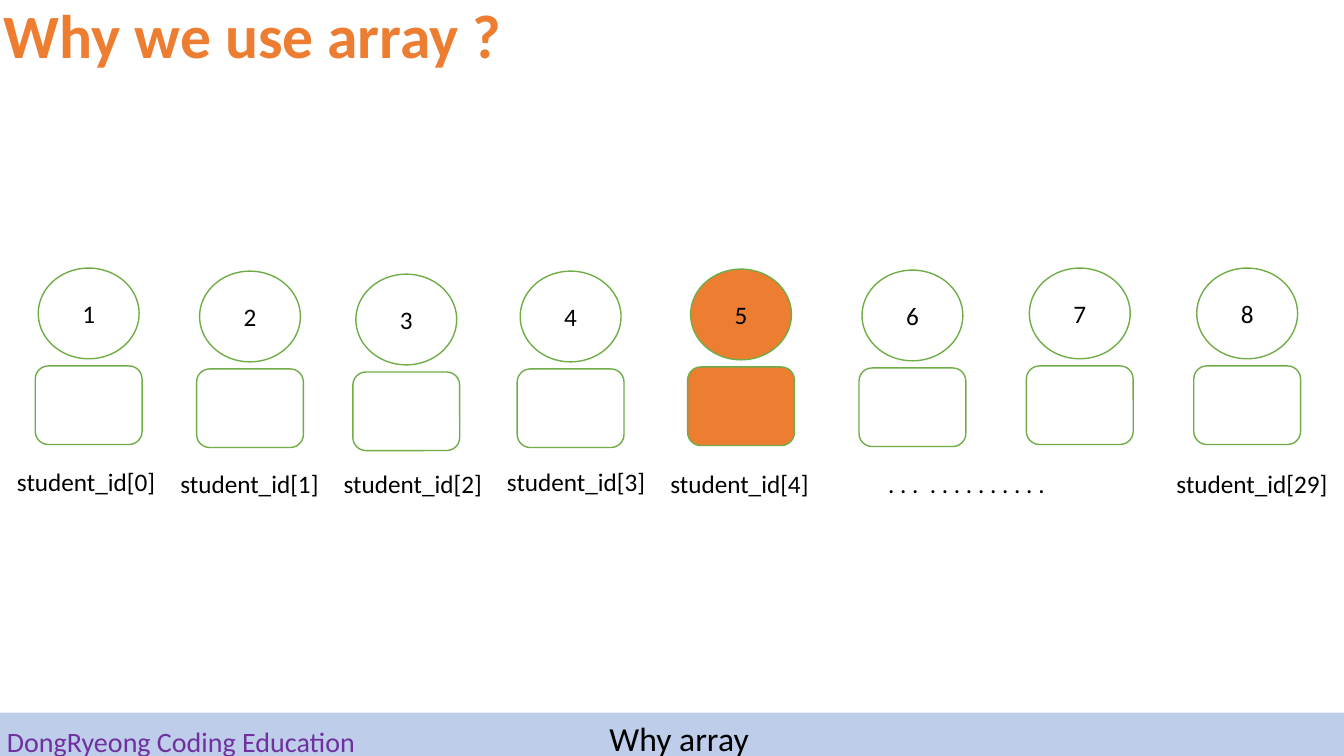
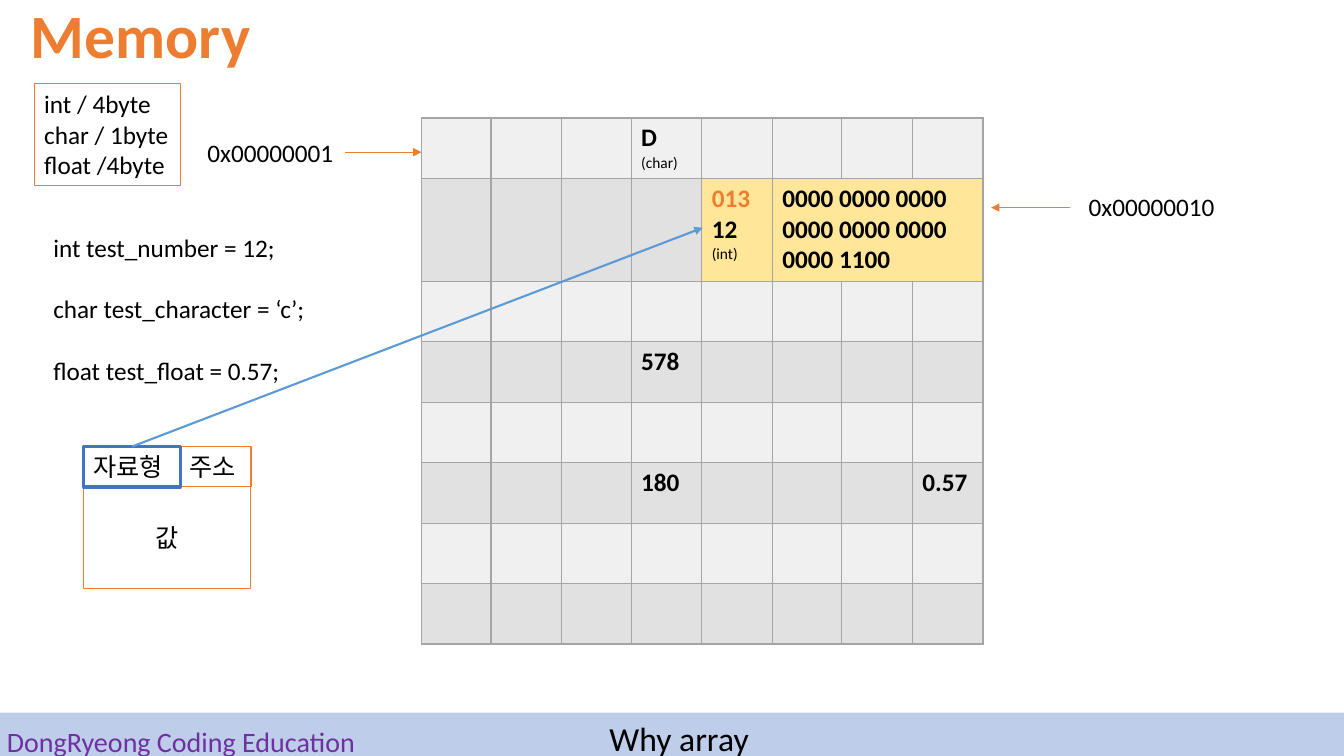
import dataclasses

import lxml.etree
import pptx
import pptx.dml.color
import pptx.enum.dml
import pptx.enum.shapes
import pptx.enum.text
import pptx.oxml.ns
import pptx.util

SHAPE = pptx.enum.shapes.MSO_SHAPE
ALIGN = pptx.enum.text.PP_ALIGN
ANCHOR = pptx.enum.text.MSO_ANCHOR
qn = pptx.oxml.ns.qn


@dataclasses.dataclass(frozen=True)
class Theme:
    """Colours and type sizes of the deck."""
    font: str = "Calibri"
    orange: str = "ED7D31"
    green: str = "70AD47"
    blue: str = "4472C4"
    sky: str = "5B9BD5"
    purple: str = "7030A0"
    black: str = "000000"
    white: str = "FFFFFF"
    grid: str = "A5A5A5"
    bands: tuple = ("F0F0F0", "E1E1E1")
    yellow: str = "FFE699"
    title: int = 44
    topic: int = 24
    footer: int = 20
    body: int = 18
    note: int = 11


T = Theme()


def px(n):
    """Turn px into EMU, at 100 px to the inch."""
    return pptx.util.Emu(n * 9144)


def rgb(color):
    """Turn a hex colour into an RGBColor."""
    return pptx.dml.color.RGBColor.from_string(color)


def put(obj, values):
    """Set each value as an attribute of the object."""
    for name, value in values.items():
        setattr(obj, name, value)


class Deck:
    """Holds the style and the current slide, and draws each kind of element."""

    HEADING = {"line_spacing": 0.9, "space_before": pptx.util.Pt(10), "alignment": ALIGN.CENTER}

    def __init__(self):
        self.prs = pptx.Presentation()
        put(self.prs, {"slide_width": px(1333), "slide_height": px(750)})
        self.s = None

    def slide(self, title, x, w):
        """Start a slide with its title and footer band."""
        self.s = self.prs.slides.add_slide(self.prs.slide_layouts[6])
        band = self.shape(SHAPE.RECTANGLE, (0, 707, 1333, 43), fill=T.blue)
        color = band._element.spPr.find(qn("a:solidFill"))[0]
        lxml.etree.SubElement(color, qn("a:alpha"), val="35000")
        self.text((-36, 723, 431, 34), ["DongRyeong Coding Education"], wrap=True, anchor=ANCHOR.BOTTOM,
                  para={"line_spacing": 0.9, "alignment": ALIGN.CENTER}, size=T.footer, color=T.purple)
        self.text((519, 712, 309, 51), ["Why array"], wrap=True, para=self.HEADING, size=T.topic)
        self.text((x, 0, w, 85), [title], wrap=True, para=self.HEADING,
                  size=T.title, color=T.orange, bold=True)

    def paragraphs(self, tf, lines, para=None, **style):
        """Fill a text frame, one paragraph a line; a line may bring its own style."""
        for i, line in enumerate(lines):
            text, own = line if isinstance(line, tuple) else (line, {})
            look = {"size": T.body, "color": T.black, "bold": False, **style, **own}
            p = tf.add_paragraph() if i else tf.paragraphs[0]
            put(p, para or {})
            r = p.add_run()
            r.text = text
            put(r.font, {"name": T.font, "size": pptx.util.Pt(look["size"]), "bold": look["bold"]})
            r.font.color.rgb = rgb(look["color"])

    def text(self, at, lines, wrap=False, anchor=ANCHOR.TOP, **style):
        """Add a text box."""
        sp = self.s.shapes.add_textbox(*map(px, at))
        put(sp.text_frame, {"word_wrap": wrap, "vertical_anchor": anchor})
        self.paragraphs(sp.text_frame, lines, **style)
        return sp

    def shape(self, kind, at, lines=(), fill=None, line=None, weight=1, into=None,
              wrap=True, anchor=ANCHOR.MIDDLE, align=ALIGN.CENTER):
        """Add a preset shape, on the slide or into a group."""
        sp = (into or self.s).shapes.add_shape(kind, *map(px, at))
        sp.shadow.inherit = False
        for part, color in ((sp.fill, fill), (sp.line.fill, line)):
            if color:
                part.solid()
                part.fore_color.rgb = rgb(color)
            else:
                part.background()
        if line:
            sp.line.width = pptx.util.Pt(weight)
        put(sp.text_frame, {"word_wrap": wrap, "vertical_anchor": anchor})
        self.paragraphs(sp.text_frame, lines, para={"alignment": align})
        return sp

    def arrow(self, start, end, color, weight, joined=None):
        """Add an arrow, joined at its start to a (shape, side) if one is given."""
        c = self.s.shapes.add_connector(pptx.enum.shapes.MSO_CONNECTOR.STRAIGHT, *map(px, start + end))
        if joined:
            c.begin_connect(*joined)
        c.line.color.rgb = rgb(color)
        c.line.width = pptx.util.Pt(weight)
        spPr = c._element.spPr
        lxml.etree.SubElement(spPr.find(qn("a:ln")), qn("a:tailEnd"), type="triangle")
        lxml.etree.SubElement(spPr, qn("a:effectLst"))

    def borders(self, cell):
        """Rule all four sides of a cell."""
        tcPr = cell._tc.get_or_add_tcPr()
        for i, side in enumerate(("a:lnL", "a:lnR", "a:lnT", "a:lnB")):
            ln = lxml.etree.Element(qn(side), w="12700")
            fill = lxml.etree.SubElement(ln, qn("a:solidFill"))
            lxml.etree.SubElement(fill, qn("a:srgbClr"), val=T.grid)
            tcPr.insert(i, ln)

    def table(self, at, heights, cols, texts, merged, marked):
        """Add a banded grid with bold text in some of its cells."""
        w = at[2]
        tbl = self.s.shapes.add_table(len(heights), cols, *map(px, at)).table
        put(tbl, {"first_row": False, "horz_banding": False})
        for i, col in enumerate(tbl.columns):
            col.width = px(w * (i + 1) // cols - w * i // cols)
        for i, height in enumerate(heights):
            tbl.rows[i].height = px(height)
            for j in range(cols):
                cell = tbl.cell(i, j)
                cell.fill.solid()
                cell.fill.fore_color.rgb = rgb(T.yellow if (i, j) in marked else T.bands[i % 2])
                self.borders(cell)
                self.paragraphs(cell.text_frame, texts.get((i, j), ()), bold=True)
        tbl.cell(*merged[0]).merge(tbl.cell(*merged[1]))


def array_slide(d):
    """Draw a row of students with their array names."""
    d.slide("Why we use array ?", -17, 536)
    heads = [(38, 266), (198, 269), (353, 272), (516, 269), (685, 267), (855, 268), (1021, 266), (1187, 266)]
    for n, (x, y) in enumerate(heads, 1):
        look = {"fill": T.orange if n == 5 else T.white, "line": T.green, "into": d.s.shapes.add_group_shape()}
        d.shape(SHAPE.OVAL, (x, y, 100, 90), [str(n)], **look)
        d.shape(SHAPE.ROUNDED_RECTANGLE, (x - 3, y + 97, 106, 78), **look)
    for i, y in enumerate((458, 460, 460, 458, 460)):
        d.text((7 + 162 * i, y, 159, 40), [f"student_id[{i}]"])
    d.text((871, 460, 177, 40), [". . .  . . . . . . . . . ."])
    d.text((1157, 460, 170, 40), ["student_id[29]"])


def memory_slide(d):
    """Draw the memory grid, its addresses and the parts of a variable."""
    d.slide("Memory", -3, 285)
    small = {"size": T.note, "bold": False}
    texts = {
        (0, 3): ["D", ("(char)", small)],
        (1, 4): [("013", {"color": T.orange}), "12", ("(int)", small)],
        (1, 5): ["0000 0000 0000 0000 0000 0000 0000 1100"],
        (3, 3): ["578"],
        (5, 3): ["180"],
        (5, 7): ["0.57"],
    }
    d.table((418, 117, 557, 522), [60, 102] + [60] * 6, 8, texts,
            merged=((1, 5), (1, 7)), marked={(1, j) for j in range(4, 8)})

    first = d.text((196, 131, 146, 40), ["0x00000001"])
    d.arrow((342, 151), (418, 151), T.orange, 0.5, joined=(first, 3))
    d.text((1070, 185, 146, 40), ["0x00000010"])
    d.arrow((1061, 206), (983, 206), T.orange, 0.5)

    label = {"line": T.orange, "weight": 0.75, "wrap": False, "anchor": ANCHOR.TOP, "align": ALIGN.LEFT}
    d.shape(SHAPE.RECTANGLE, (34, 83, 145, 101), ["int / 4byte", "char / 1byte", "float /4byte"], **label)
    d.text((43, 226, 272, 162),
           ["int test_number = 12;", "char test_character = ‘c’;", "float test_float = 0.57;"],
           para={"space_after": pptx.util.Pt(22)})

    label["into"] = d.s.shapes.add_group_shape()
    d.shape(SHAPE.RECTANGLE, (178, 443, 71, 40), ["주소"], **label)
    d.shape(SHAPE.RECTANGLE, (83, 483, 166, 101), ["값"],
            **{**label, "wrap": True, "anchor": ANCHOR.MIDDLE, "align": ALIGN.CENTER})
    kind = d.shape(SHAPE.RECTANGLE, (83, 443, 96, 40), ["자료형"],
                   **{**label, "line": T.blue, "weight": 2.5})
    d.arrow((131, 443), (697, 226), T.sky, 1.5, joined=(kind, 0))


def main():
    """Build the deck and save it."""
    d = Deck()
    array_slide(d)
    memory_slide(d)
    d.prs.save("out.pptx")


if __name__ == "__main__":
    main()
